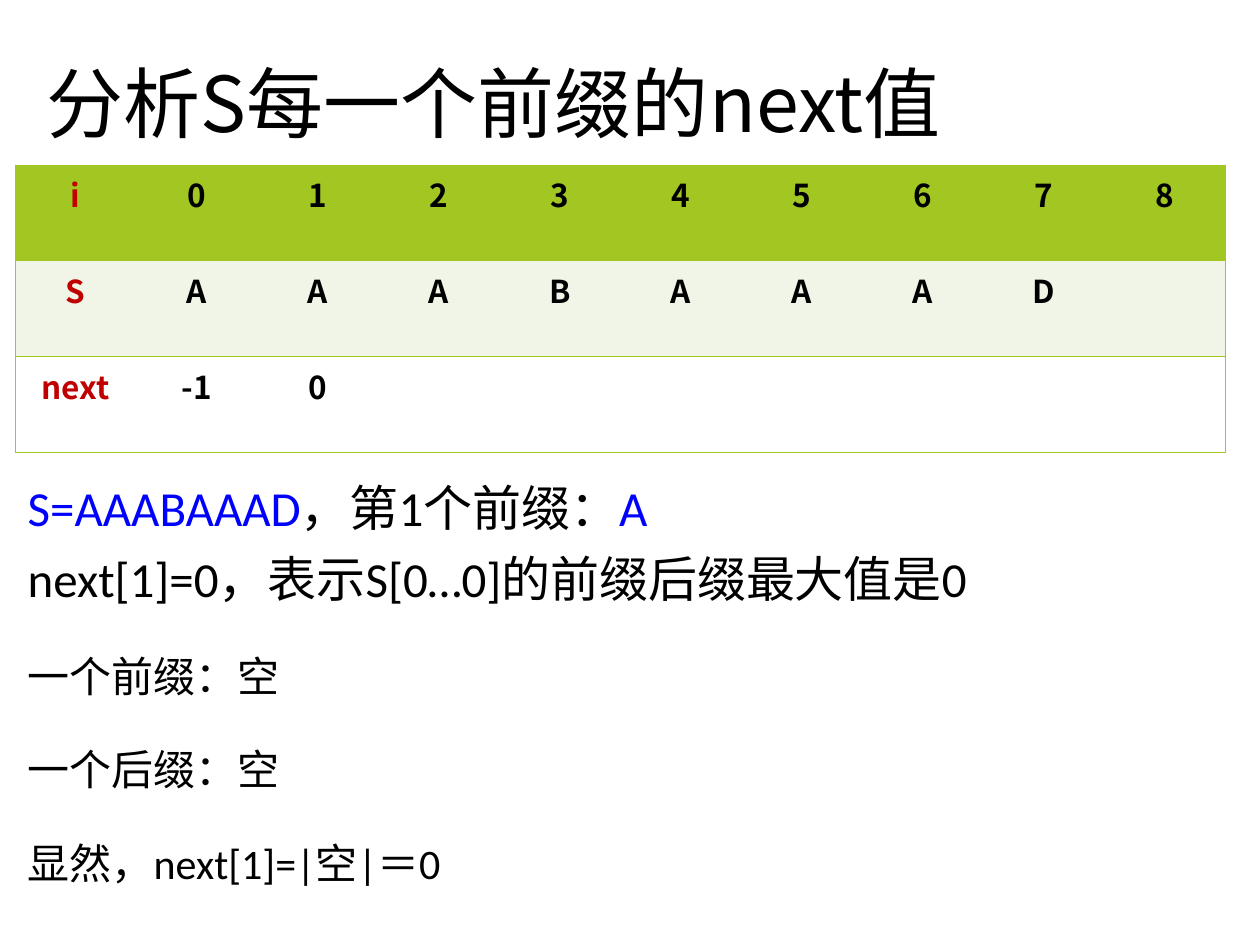
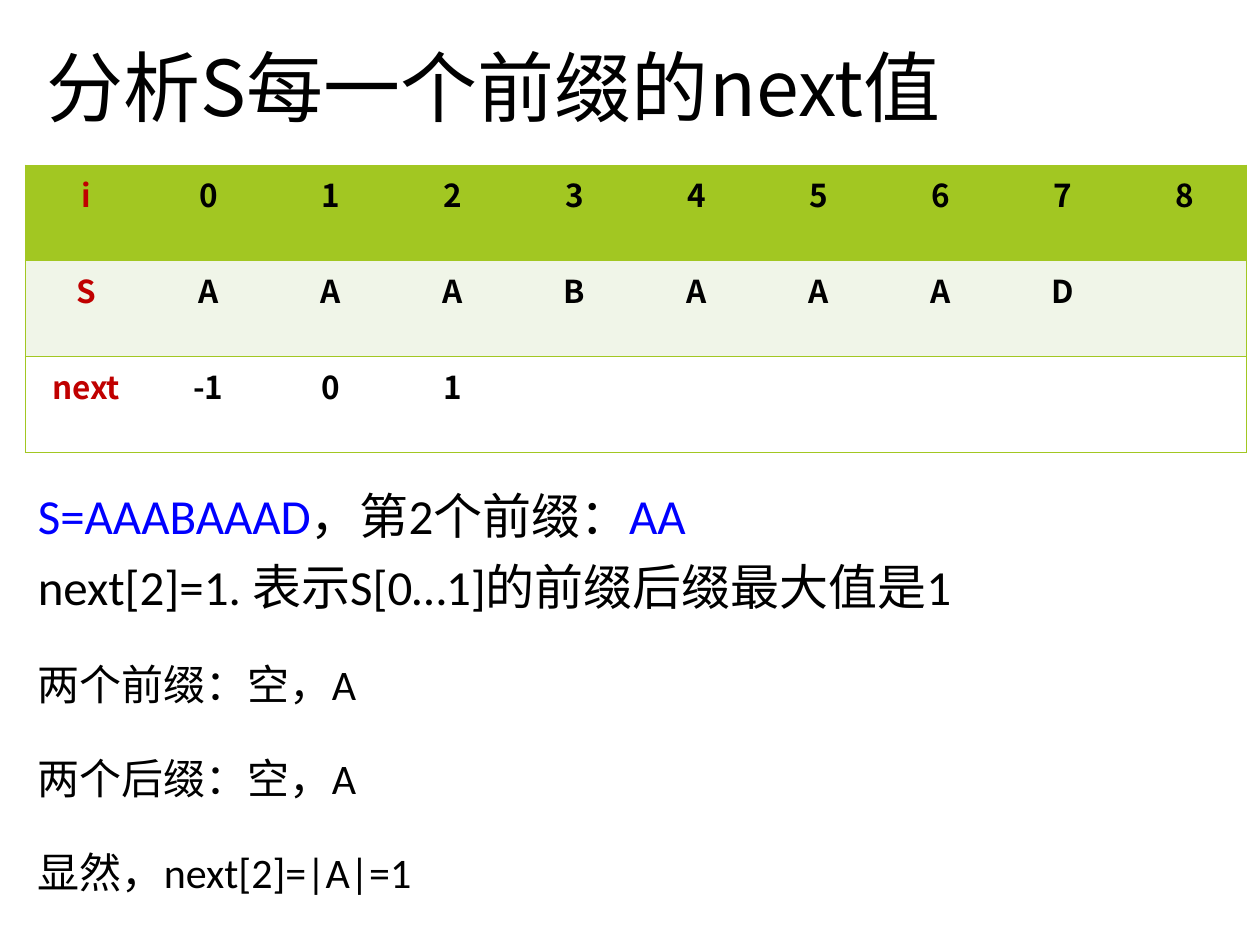
from pptx import Presentation
from pptx.dml.color import RGBColor
from pptx.enum.text import MSO_ANCHOR, MSO_AUTO_SIZE, PP_ALIGN
from pptx.oxml import parse_xml
from pptx.oxml.ns import nsdecls, qn
from pptx.util import Inches, Pt

LEFT, CENTER = PP_ALIGN.LEFT, PP_ALIGN.CENTER
MIDDLE = MSO_ANCHOR.MIDDLE
NO_FIT = MSO_AUTO_SIZE.NONE

BLACK = RGBColor(0x00, 0x00, 0x00)
BLUE = RGBColor(0x00, 0x00, 0xFF)
RED = RGBColor(0xC0, 0x00, 0x00)
GREEN = RGBColor(0xA2, 0xC7, 0x22)
PALE = RGBColor(0xF0, 0xF5, 0xE8)
WHITE = RGBColor(0xFF, 0xFF, 0xFF)

SANS, CJK = "Calibri", "Noto Sans CJK SC"
TITLE = "分析S每一个前缀的next值"
PATTERN = "AAABAAAD"
COLUMNS = len(PATTERN) + 2
ROW_FILLS = (GREEN, PALE, WHITE)
TABLE_TOP, ROW_HEIGHT = 1.31, 0.76


def add_text(p, text, size=18, font=CJK, color=BLACK, bold=False):
    r = p.add_run()
    r.text = text
    r.font.size = Pt(size)
    r.font.bold = bold
    r.font.color.rgb = color
    r.font.name = font
    r.font._element.append(
        parse_xml(f'<a:ea {nsdecls("a")} typeface="{CJK}"/>'))


def place(sp, left, top, width, height):
    sp.left, sp.top = Inches(left), Inches(top)
    sp.width, sp.height = Inches(width), Inches(height)


def set_borders(cell, sides):
    """Draw the named sides in green and leave the others clear."""
    tc_pr = cell._tc.get_or_add_tcPr()
    for i, side in enumerate("LRTB"):
        fill = (f'<a:solidFill><a:srgbClr val="{GREEN}"/></a:solidFill>'
                if side in sides else "<a:noFill/>")
        tc_pr.insert(i, parse_xml(
            f'<a:ln{side} {nsdecls("a")} w="{Pt(0.45)}">{fill}</a:ln{side}>'))


def add_title(slide, top):
    sp = slide.shapes.title
    place(sp, 0.27, top, 8.62, 1.45)
    tf = sp.text_frame
    tf.auto_size = NO_FIT
    tf.vertical_anchor = MIDDLE
    p = tf.paragraphs[0]
    p.alignment = LEFT
    p.line_spacing = 0.9
    add_text(p, TITLE, size=44)


def add_next_table(slide, left, width, next_values):
    rows = (["i", *map(str, range(COLUMNS - 1))],
            ["S", *PATTERN],
            ["next", *map(str, next_values)])
    table = slide.shapes.add_table(
        len(rows), COLUMNS, Inches(left), Inches(TABLE_TOP),
        Inches(width), Inches(ROW_HEIGHT * len(rows))).table
    for row, texts, fill in zip(table.rows, rows, ROW_FILLS):
        row.height = Inches(ROW_HEIGHT)
        for col, cell in enumerate(row.cells):
            cell.fill.solid()
            cell.fill.fore_color.rgb = fill
            set_borders(cell, "TB" + {0: "L", COLUMNS - 1: "R"}.get(col, ""))
            if col < len(texts):
                p = cell.text_frame.paragraphs[0]
                p.alignment = CENTER
                add_text(p, texts[col], color=BLACK if col else RED, bold=True)


def add_analysis(slide, left, top, width, prefix, meaning, steps):
    sp = slide.placeholders[1]
    place(sp, left, top, width, 3.52)
    tf = sp.text_frame
    tf.auto_size = NO_FIT
    # Two large lines state the result, the smaller ones derive it
    heading = [("S=" + PATTERN, BLUE), (f"，第{len(prefix)}个前缀：", BLACK),
               (prefix, BLUE)]
    lines = [(heading, 28, 30.5), ([(meaning, BLACK)], 28, 30.5)]
    lines += [([(step, BLACK)], 24, 43.5) for step in steps]
    for i, (runs, size, pitch) in enumerate(lines):
        p = tf.add_paragraph() if i else tf.paragraphs[0]
        p_pr = p._p.get_or_add_pPr()
        p_pr.set("marL", "0")
        p_pr.set("indent", "0")
        p_pr.append(p_pr.makeelement(qn("a:buNone"), {}))
        p.line_spacing = Pt(pitch)
        p.space_before = Pt(10 if i else 0)
        for text, color in runs:
            add_text(p, text, size=size, font=SANS, color=color)


def add_prefix_slide(prs, left, width, title_top, analysis_top, next_values,
                     prefix, meaning, steps):
    slide = prs.slides.add_slide(prs.slide_layouts[1])
    add_title(slide, title_top)
    add_analysis(slide, left, analysis_top, width, prefix, meaning, steps)
    add_next_table(slide, left, width, next_values)


def main():
    prs = Presentation()
    prs.slide_width, prs.slide_height = Inches(10), Inches(7.5)

    # Prefix of length 1
    add_prefix_slide(
        prs, left=0.12, width=9.61, title_top=0.13, analysis_top=3.78,
        next_values=[-1, 0], prefix="A",
        meaning="next[1]=0，表示S[0…0]的前缀后缀最大值是0",
        steps=["一个前缀：空", "一个后缀：空", "显然，next[1]=|空|＝0"])

    # Prefix of length 2
    add_prefix_slide(
        prs, left=0.2, width=9.69, title_top=0, analysis_top=3.85,
        next_values=[-1, 0, 1], prefix="AA",
        meaning="next[2]=1. 表示S[0…1]的前缀后缀最大值是1",
        steps=["两个前缀：空，A", "两个后缀：空，A", "显然，next[2]=|A|=1"])

    prs.save("out.pptx")


if __name__ == "__main__":
    main()
